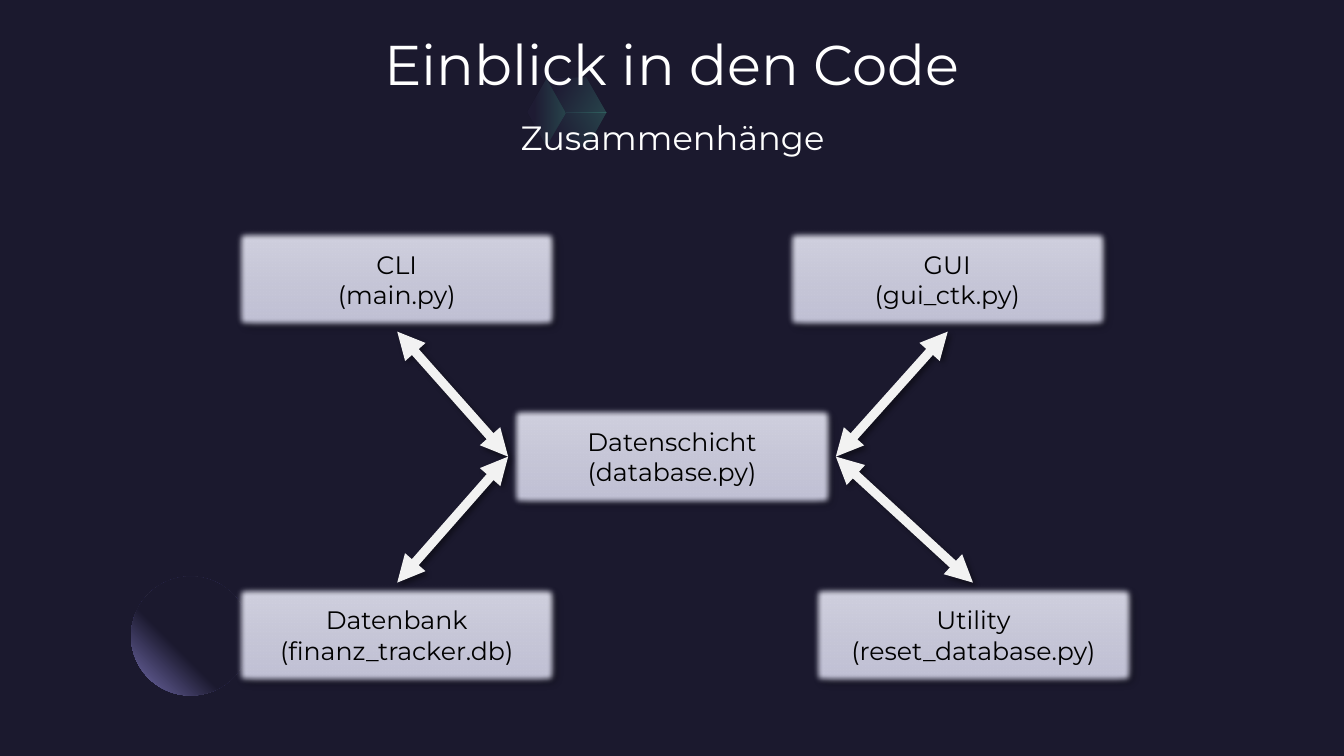
from lxml import etree
from pptx import Presentation
from pptx.dml.color import RGBColor
from pptx.enum.shapes import MSO_CONNECTOR, MSO_SHAPE
from pptx.enum.text import MSO_ANCHOR, PP_ALIGN
from pptx.oxml import parse_xml
from pptx.oxml.ns import nsdecls, qn
from pptx.util import Inches, Pt

RECT = MSO_SHAPE.RECTANGLE
OVAL = MSO_SHAPE.OVAL
LINE = MSO_CONNECTOR.STRAIGHT
MIDDLE = MSO_ANCHOR.MIDDLE
TOP = MSO_ANCHOR.TOP
CENTER = PP_ALIGN.CENTER

NIGHT = RGBColor(0x1B, 0x19, 0x2E)
PLUM = RGBColor(0x2C, 0x28, 0x4A)
MINT = RGBColor(0x5B, 0xEF, 0xC1)
VIOLET = RGBColor(0x77, 0x71, 0xB2)
PALE = RGBColor(0xD3, 0xD3, 0xE1)
MID = RGBColor(0xC8, 0xC8, 0xD9)
DEEP = RGBColor(0xC0, 0xC0, 0xD5)
EDGE = RGBColor(0xA3, 0xA3, 0xC1)
CHALK = RGBColor(0xF2, 0xF2, 0xF2)
WHITE = RGBColor(0xFF, 0xFF, 0xFF)
BLACK = RGBColor(0x00, 0x00, 0x00)

NS = nsdecls("a")
SHADOW = (
    f'<a:effectLst {NS}><a:outerShdw blurRad="{Pt(4)}" dist="{Pt(3)}" '
    f'dir="2700000" algn="tl" rotWithShape="0"><a:srgbClr val="{BLACK}">'
    '<a:alpha val="40000"/></a:srgbClr></a:outerShdw></a:effectLst>'
)


def write(shape, text, size=18, color=BLACK, anchor=MIDDLE, inset=None, space=None, after=None):
    frame = shape.text_frame
    frame.word_wrap = True
    frame.vertical_anchor = anchor
    if inset is not None:
        frame.margin_left = frame.margin_right = Inches(inset)
        frame.margin_top = frame.margin_bottom = Inches(inset)
    frame.text = text
    for para in frame.paragraphs:
        para.alignment = CENTER
        para.line_spacing = space
        para.space_after = after
        for run in para.runs:
            run.font.name = "Montserrat"
            run.font.size = Pt(size)
            run.font.color.rgb = color


def blend(shape, stops, angle=None, alpha=100):
    shape.fill.background()
    marks = "".join(
        f'<a:gs pos="{pos * 1000}"><a:srgbClr val="{color}">'
        f'<a:alpha val="{alpha * 1000}"/></a:srgbClr></a:gs>'
        for pos, color in stops
    )
    if angle is None:
        shade = '<a:path path="circle"><a:fillToRect l="100000" b="100000"/></a:path>'
    else:
        shade = f'<a:lin ang="{angle * 60000}" scaled="0"/>'
    props = shape._element.spPr
    fill = f'<a:gradFill {NS} rotWithShape="1"><a:gsLst>{marks}</a:gsLst>{shade}</a:gradFill>'
    props.replace(props.find(qn("a:noFill")), parse_xml(fill))


deck = Presentation()
deck.slide_width = Inches(13.33)
deck.slide_height = Inches(7.5)
slide = deck.slides.add_slide(deck.slide_layouts[6])
slide.background.fill.solid()
slide.background.fill.fore_color.rgb = NIGHT
shapes = slide.shapes

core = (5.61, 1.12)
east = (6.01, 1.12)
west = (5.23, 1.11)
north = (5.42, 0.78)
south = (5.42, 1.45)
faces = [
    ([(5.81, 0.77), north, core, east], 30),
    ([south, west, north, core], 0),
    ([east, (5.82, 1.45), south, core], 330),
]
for points, angle in faces:
    spots = [(Inches(x), Inches(y)) for x, y in points]
    pen = shapes.build_freeform(*spots[0])
    pen.add_line_segments(spots[1:], close=True)
    face = pen.convert_to_shape()
    face.shadow.inherit = False
    face.line.fill.background()
    blend(face, [(20, PLUM), (100, MINT)], angle, alpha=20)

moon = shapes.add_shape(OVAL, Inches(1.3), Inches(5.72), Inches(1.18), Inches(1.18))
moon.shadow.inherit = False
moon.line.fill.background()
blend(moon, [(60, NIGHT), (100, VIOLET)])

title = shapes.add_textbox(Inches(3.68), Inches(0.37), Inches(5.97), Inches(0.57))
write(title, "Einblick in den Code", size=40, color=WHITE, anchor=TOP, inset=0, space=0.9)
lead = shapes.add_textbox(Inches(3.94), Inches(0.96), Inches(5.46), Inches(0.57))
write(lead, "Zusammenhänge", size=24, color=WHITE, anchor=TOP, inset=0, space=1.5, after=Pt(8))

wide, high = 3.25, 1.04
upper, center, lower = 2.25, 4.01, 5.78
boxes = [
    (2.31, upper, "CLI\n(main.py)"),
    (7.77, upper, "GUI\n(gui_ctk.py)"),
    (5.04, center, "Datenschicht\n(database.py)"),
    (2.31, lower, "Datenbank\n(finanz_tracker.db)"),
    (8.03, lower, "Utility\n(reset_database.py)"),
]
for left, top, text in boxes:
    box = shapes.add_shape(RECT, Inches(left), Inches(top), Inches(wide), Inches(high))
    blend(box, [(0, PALE), (50, MID), (100, DEEP)], 90)
    box.line.color.rgb = EDGE
    box.line.width = Pt(0.5)
    effects = parse_xml(SHADOW)
    etree.SubElement(effects, qn("a:softEdge"), rad=str(Pt(5)))
    box._element.spPr.append(effects)
    write(box, text)

hub = center + high / 2
arrows = [
    (3.94, upper + high, 5.04),
    (9.4, upper + high, 8.29),
    (3.94, lower, 5.04),
    (9.65, lower, 8.29),
]
for left, top, side in arrows:
    arrow = shapes.add_connector(LINE, Inches(left), Inches(top), Inches(side), Inches(hub))
    arrow.line.color.rgb = CHALK
    arrow.line.width = Pt(6.5)
    for end in ("a:headEnd", "a:tailEnd"):
        etree.SubElement(arrow.line._ln, qn(end), type="triangle")
    arrow._element.spPr.append(parse_xml(SHADOW))

deck.save("out.pptx")
